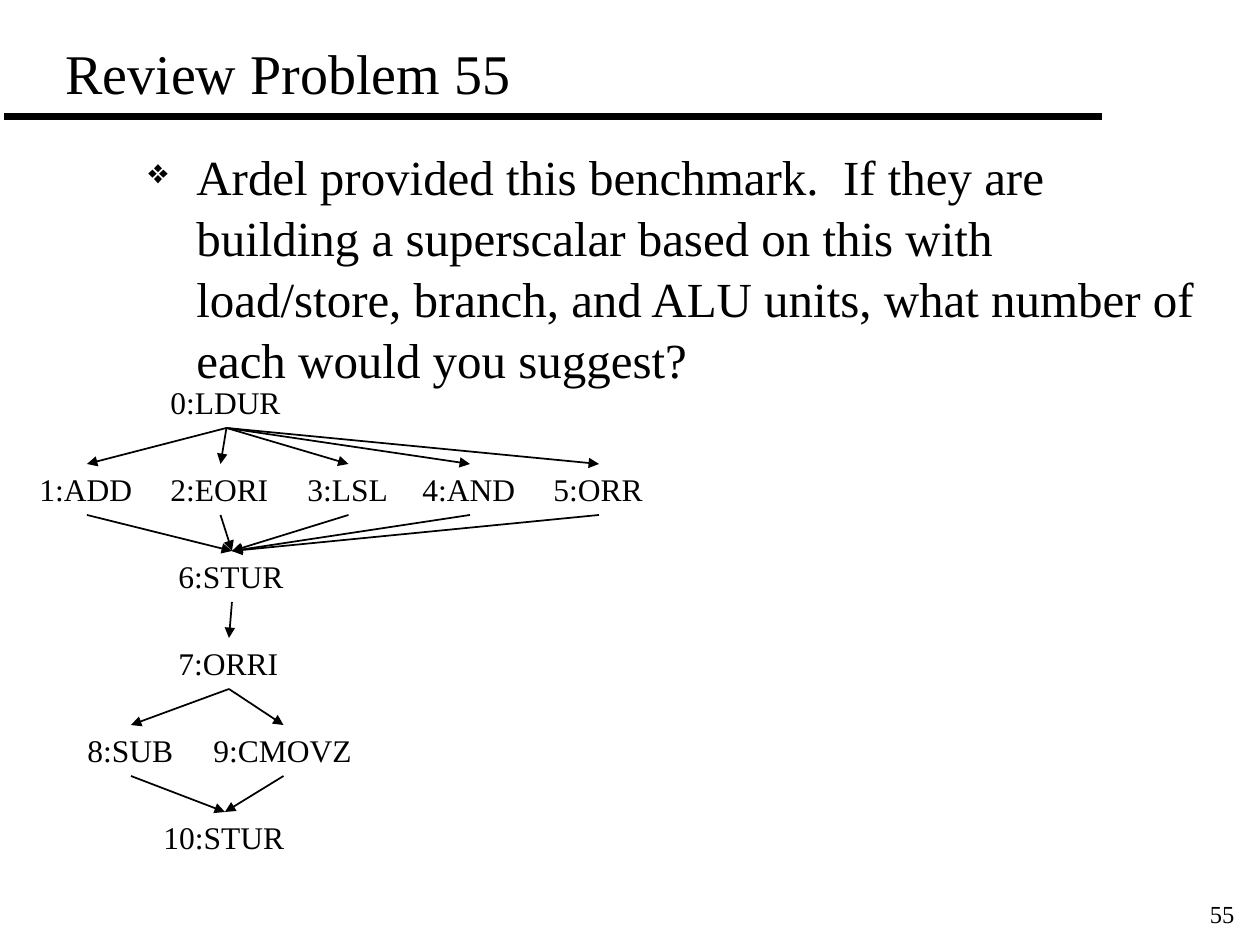
from dataclasses import dataclass

from lxml.etree import SubElement
from pptx import Presentation
from pptx.dml.color import RGBColor
from pptx.enum.shapes import MSO_CONNECTOR
from pptx.enum.text import MSO_ANCHOR, MSO_AUTO_SIZE, PP_ALIGN
from pptx.oxml.ns import qn
from pptx.util import Emu, Pt

BOTTOM, TOP = 2, 0


@dataclass(frozen=True)
class Theme:
    ink: RGBColor = RGBColor(0, 0, 0)
    font: str = "Times New Roman"
    title: int = 32
    body: int = 28
    node: int = 18
    number: int = 14
    rule: int = 4
    arrow: int = 1


THEME = Theme()

# Each row of the graph: (name, left, width), left relative to the graph box
NODE_ROWS = [
    [("0:LDUR", 131, 137)],
    [("1:ADD", 0, 120), ("2:EORI", 131, 125), ("3:LSL", 268, 107),
     ("4:AND", 383, 120), ("5:ORR", 514, 116)],
    [("6:STUR", 139, 132)],
    [("7:ORRI", 139, 126)],
    [("8:SUB", 48, 112), ("9:CMOVZ", 174, 165)],
    [("10:STUR", 124, 148)],
]


def px(length):
    return Emu(round(length * 914400 / 126))


def add_text(page, box, text, size, wrap=True, anchor=MSO_ANCHOR.TOP,
             align=PP_ALIGN.LEFT):
    shape = page.shapes.add_textbox(*map(px, box))
    frame = shape.text_frame
    frame.word_wrap = wrap
    frame.auto_size = MSO_AUTO_SIZE.NONE if wrap else MSO_AUTO_SIZE.SHAPE_TO_FIT_TEXT
    frame.vertical_anchor = anchor
    para = frame.paragraphs[0]
    para.alignment = align
    span = para.add_run()
    span.text = text
    span.font.name = THEME.font
    span.font.size = Pt(size)
    span.font.color.rgb = THEME.ink
    return shape


def add_line(page, start, end, weight):
    line = page.shapes.add_connector(
        MSO_CONNECTOR.STRAIGHT, *map(px, (*start, *end)))
    line.line.color.rgb = THEME.ink
    line.line.width = Pt(weight)
    SubElement(line._element.spPr, qn("a:effectLst"))
    return line


def add_arrow(page, source, target):
    arrow = add_line(page, (0, 0), (0, 0), THEME.arrow)
    arrow.begin_connect(source, BOTTOM)
    arrow.end_connect(target, TOP)
    SubElement(arrow.line._get_or_add_ln(), qn("a:tailEnd"), type="triangle")


def add_header(page, box):
    left, top, width, height = box
    # Rule under the title
    rule_y = top + height + 5
    add_line(page, (left, rule_y), (left + width, rule_y), THEME.rule)
    # Title
    add_text(page, (left + 49, top, width - 32, height),
             "Review Problem 55", THEME.title, anchor=MSO_ANCHOR.BOTTOM)


def add_question(page, box):
    shape = add_text(
        page, box,
        "Ardel provided this benchmark.  If they are building a superscalar "
        "based on this with load/store, branch, and ALU units, what number of "
        "each would you suggest?", THEME.body)
    shape.text_frame.margin_top = px(10)
    para = shape.text_frame.paragraphs[0]
    para.line_spacing = 1.04
    # Hanging diamond bullet
    props = para._p.get_or_add_pPr()
    props.set("marL", str(px(48)))
    props.set("indent", str(-px(48)))
    color = SubElement(props, qn("a:buClr"))
    SubElement(color, qn("a:srgbClr"), val=str(THEME.ink))
    SubElement(props, qn("a:buSzPct"), val="70000")
    SubElement(props, qn("a:buChar"), char="❖")


def add_dependency_graph(page, box):
    left, top, _, height = box
    node_height = 51
    pitch = (height - node_height) // (len(NODE_ROWS) - 1)
    # Instructions
    rows = [
        [add_text(page, (left + x, top + row * pitch, width, node_height),
                  name, THEME.node, wrap=False) for name, x, width in nodes]
        for row, nodes in enumerate(NODE_ROWS)
    ]
    # Every instruction feeds all of those in the next row
    for sources, targets in zip(rows, rows[1:]):
        for source in sources:
            for target in targets:
                add_arrow(page, source, target)


def add_page_number(page, box):
    add_text(page, box, "55", THEME.number, wrap=False,
             anchor=MSO_ANCHOR.MIDDLE, align=PP_ALIGN.RIGHT)


def main():
    deck = Presentation()
    deck.slide_width, deck.slide_height = px(1260), px(945)
    page = deck.slides.add_slide(deck.slide_layouts[6])
    add_header(page, (4, 42, 1098, 70))
    add_question(page, (136, 134, 1071, 738))
    add_dependency_graph(page, (27, 377, 630, 486))
    add_page_number(page, (1194, 893, 53, 42))
    deck.save("out.pptx")


if __name__ == "__main__":
    main()
